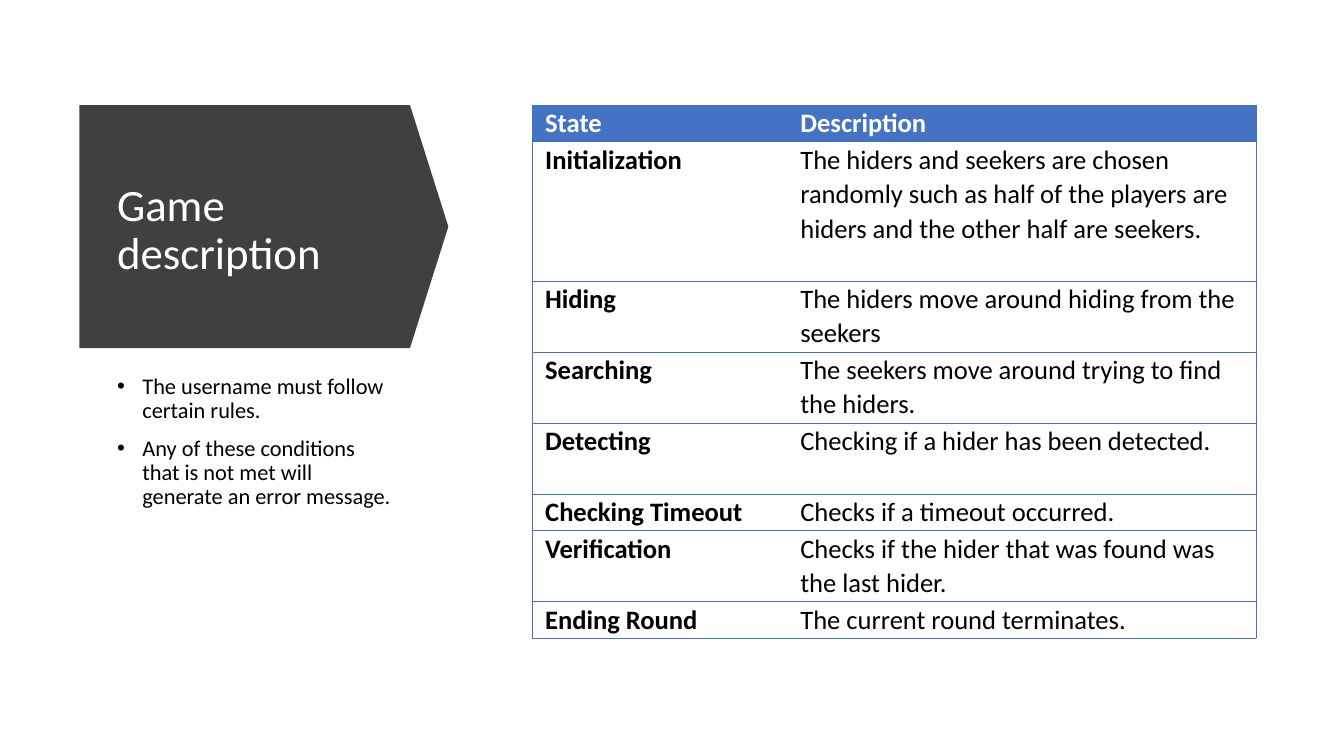
from dataclasses import dataclass

from lxml.etree import SubElement
from pptx import Presentation
from pptx.dml.color import RGBColor
from pptx.enum.shapes import MSO_SHAPE
from pptx.enum.text import MSO_ANCHOR
from pptx.oxml.ns import qn
from pptx.util import Cm, Pt


@dataclass(frozen=True)
class Theme:
    """Colours, font and type sizes of the slide."""

    font: str = "Calibri"
    banner: RGBColor = RGBColor(0x40, 0x40, 0x40)
    accent: RGBColor = RGBColor(0x44, 0x72, 0xC4)
    light: RGBColor = RGBColor(0xFF, 0xFF, 0xFF)
    dark: RGBColor = RGBColor(0, 0, 0)
    title_size: float = 32
    body_size: float = 16
    table_size: float = 19
    border_width: float = 0.5


@dataclass(frozen=True)
class Box:
    """A rectangle on the slide, in centimetres."""

    left: float
    top: float
    width: float
    height: float

    def lengths(self):
        """Return the four measures as slide lengths."""
        return Cm(self.left), Cm(self.top), Cm(self.width), Cm(self.height)


THEME = Theme()
TITLE = "Game description"
RULES = [
    "The username must follow certain rules.",
    "Any of these conditions that is not met will generate an error message.",
]
STATES = [
    ("State", "Description", 0.92),
    (
        "Initialization",
        "The hiders and seekers are chosen randomly such as half of the players are "
        "hiders and the other half are seekers.",
        3.51,
    ),
    ("Hiding", "The hiders move around hiding from the seekers", 1.79),
    ("Searching", "The seekers move around trying to find the hiders.", 1.79),
    ("Detecting", "Checking if a hider has been detected.", 1.79),
    ("Checking Timeout", "Checks if a timeout occurred.", 0.92),
    ("Verification", "Checks if the hider that was found was the last hider.", 1.79),
    ("Ending Round", "The current round terminates.", 0.92),
]


def write(para, text, *, size, color=THEME.dark, bold=False, line_spacing=0.9, space_before=0):
    """Write formatted text into a paragraph."""
    para.line_spacing = line_spacing
    para.space_before = Pt(space_before)
    span = para.add_run()
    span.text = text
    span.font.name = THEME.font
    span.font.size = Pt(size)
    span.font.bold = bold
    span.font.color.rgb = color


def add_bullet(para, indent):
    """Give a paragraph a round bullet with a hanging indent."""
    properties = para._p.get_or_add_pPr()
    properties.set("marL", str(indent))
    properties.set("indent", str(-indent))
    SubElement(properties, qn("a:buFont"), typeface="Arial")
    SubElement(properties, qn("a:buChar"), char="•")


def set_borders(cell, sides):
    """Draw thin accent borders on the given sides and clear the others."""
    properties = cell._tc.get_or_add_tcPr()
    for side in "LRTB":
        line = SubElement(properties, qn(f"a:ln{side}"), w=str(Pt(THEME.border_width)))
        if side in sides:
            fill = SubElement(line, qn("a:solidFill"))
            SubElement(fill, qn("a:srgbClr"), val=str(THEME.accent))
        else:
            SubElement(line, qn("a:noFill"))


def add_text_frame(slide, box):
    """Add a wrapping text box and return its frame."""
    frame = slide.shapes.add_textbox(*box.lengths()).text_frame
    frame.word_wrap = True
    return frame


def add_banner(slide, box):
    """Place the dark arrow banner with the slide title."""
    turn = (box.width - box.height) / 2
    upright = Box(box.left + turn, box.top - turn, box.height, box.width)
    arrow = slide.shapes.add_shape(MSO_SHAPE.DOWN_ARROW, *upright.lengths())
    arrow.rotation = 270
    arrow.adjustments[0] = 1
    arrow.adjustments[1] = 0.158
    arrow.shadow.inherit = False
    arrow.fill.solid()
    arrow.fill.fore_color.rgb = THEME.banner
    arrow.line.fill.background()

    frame = add_text_frame(slide, Box(box.left + 0.7, box.top + 0.7, 7.42, 4.95))
    frame.vertical_anchor = MSO_ANCHOR.MIDDLE
    write(frame.paragraphs[0], TITLE, size=THEME.title_size, color=THEME.light)


def add_rules(slide, box):
    """Place the bulleted rules."""
    frame = add_text_frame(slide, box)
    for index, rule in enumerate(RULES):
        para = frame.add_paragraph() if index else frame.paragraphs[0]
        write(para, rule, size=THEME.body_size, space_before=10)
        add_bullet(para, Cm(0.64))


def add_states(slide, box):
    """Place the table of game states."""
    table = slide.shapes.add_table(len(STATES), 2, *box.lengths()).table
    table.horz_banding = False
    name_width = 6.43
    table.columns[0].width = Cm(name_width)
    table.columns[1].width = Cm(box.width - name_width)
    for row, (*texts, height) in enumerate(STATES):
        table.rows[row].height = Cm(height)
        header = row == 0
        for column, text in enumerate(texts):
            cell = table.cell(row, column)
            cell.margin_left = cell.margin_right = Cm(0.33)
            cell.margin_top = cell.margin_bottom = 0
            set_borders(cell, "TB" + "LR"[column])
            if header:
                cell.fill.solid()
                cell.fill.fore_color.rgb = THEME.accent
            else:
                cell.fill.background()
            write(
                cell.text_frame.paragraphs[0],
                text,
                size=THEME.table_size,
                color=THEME.light if header else THEME.dark,
                bold=header or column == 0,
                line_spacing=1.07,
            )


def main():
    """Build and save the deck."""
    deck = Presentation()
    deck.slide_width, deck.slide_height = Cm(33.87), Cm(19.05)
    slide = deck.slides.add_slide(deck.slide_layouts[6])
    add_banner(slide, Box(2, 2.65, 9.3, 6.12))
    add_rules(slide, Box(2.7, 9.32, 7.42, 6.73))
    add_states(slide, Box(13.41, 2.65, 18.24, 13.43))
    deck.save("out.pptx")


if __name__ == "__main__":
    main()
